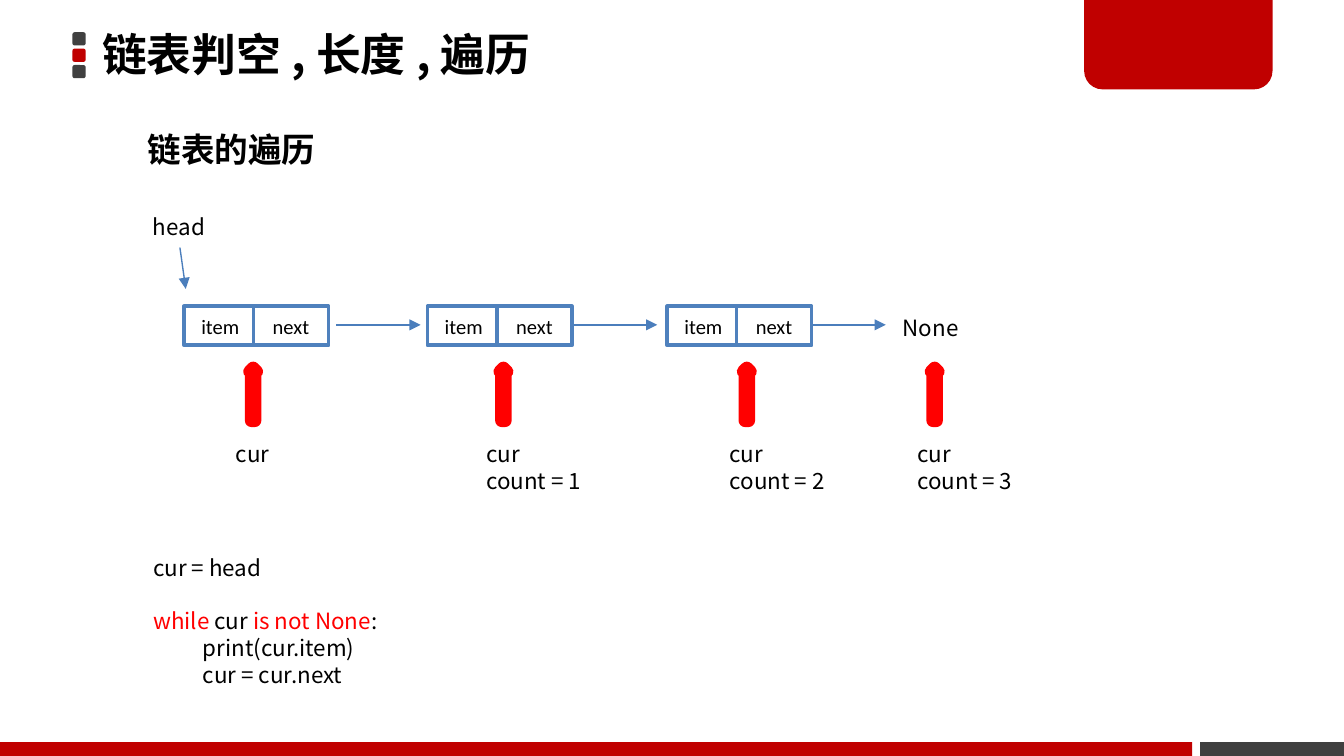
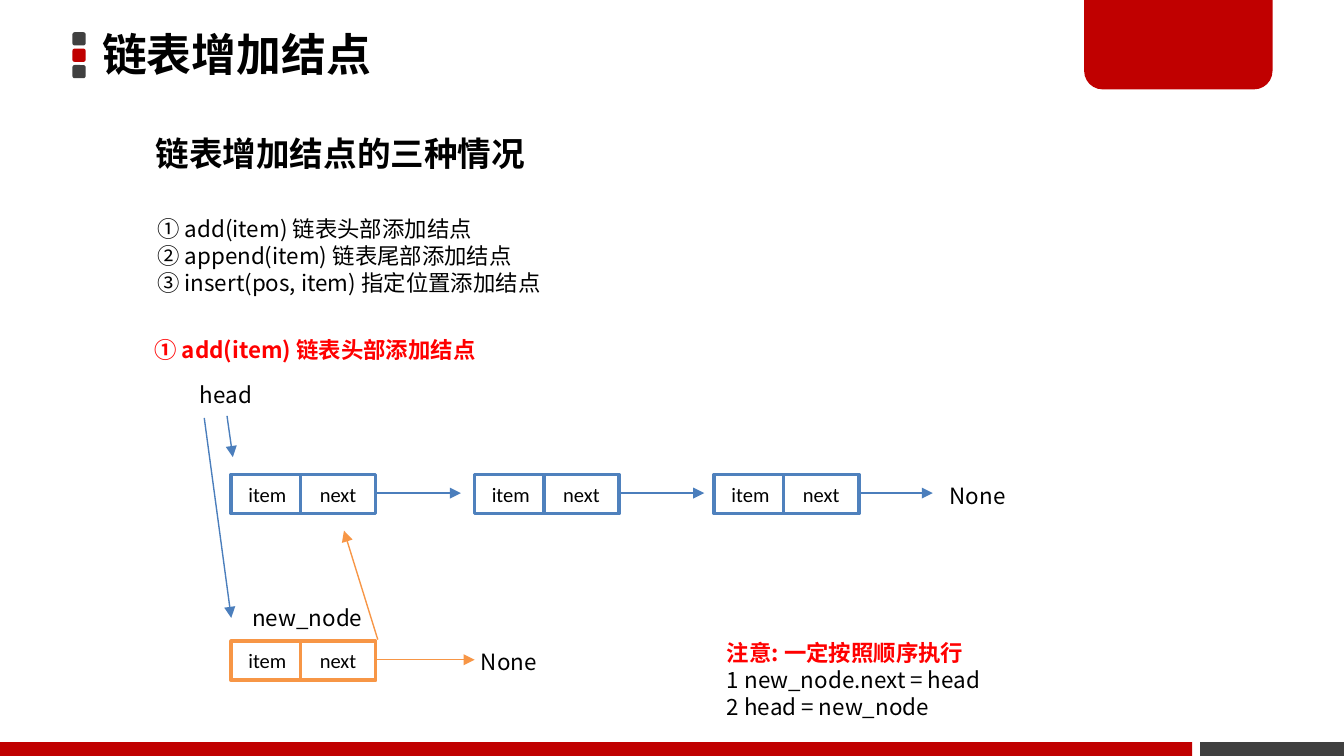
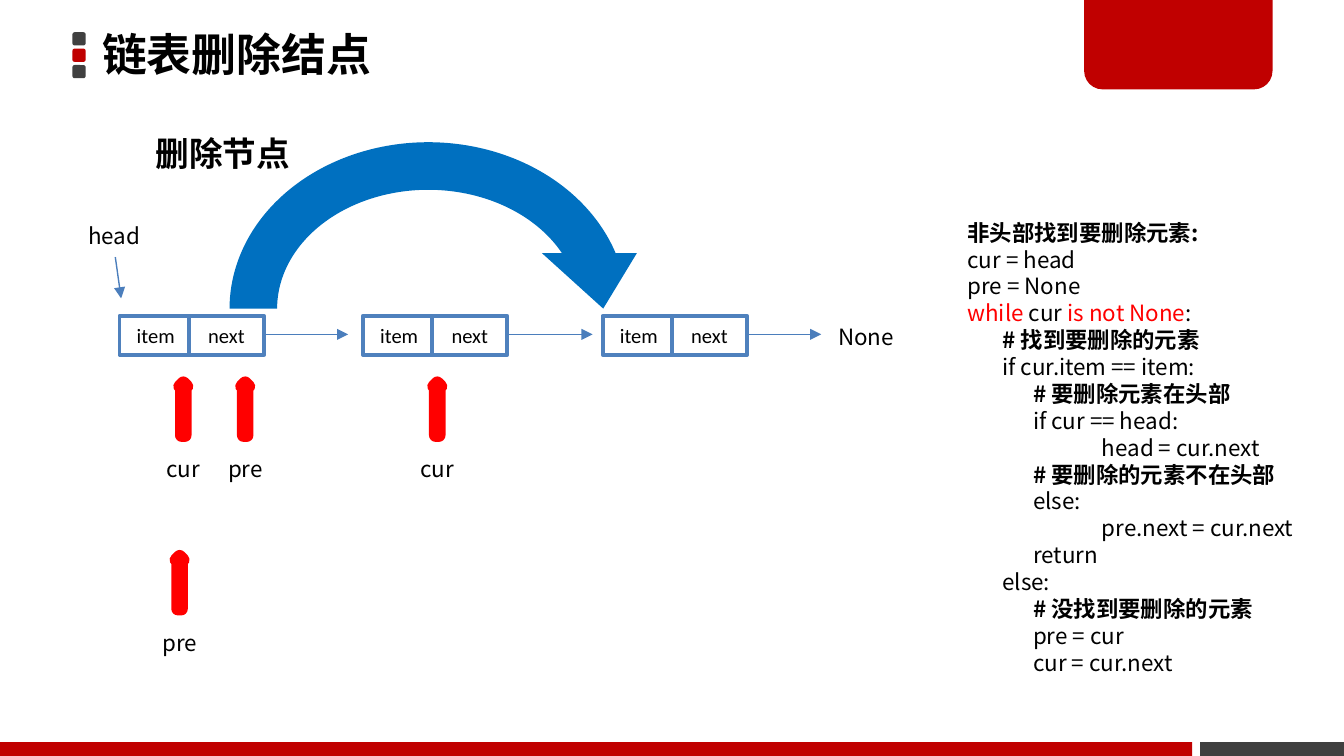
from lxml.etree import SubElement
from pptx import Presentation
from pptx.dml.color import RGBColor
from pptx.enum.shapes import MSO_CONNECTOR as Link, MSO_SHAPE as Form
from pptx.enum.text import MSO_ANCHOR as Anchor, MSO_AUTO_SIZE as Fit, PP_ALIGN as Align
from pptx.oxml.ns import qn
from pptx.util import Cm, Pt

RED = RGBColor(0xC0, 0x00, 0x00)
GREY = RGBColor(0x40, 0x40, 0x40)
BLACK = RGBColor(0x00, 0x00, 0x00)
WHITE = RGBColor(0xFF, 0xFF, 0xFF)
BRIGHT = RGBColor(0xFF, 0x00, 0x00)
BLUE = RGBColor(0x4F, 0x81, 0xBD)
STEEL = RGBColor(0x4B, 0x7E, 0xBC)
ORANGE = RGBColor(0xF7, 0x96, 0x46)
AZURE = RGBColor(0x00, 0x70, 0xC0)
FACE = "Noto Sans CJK SC"

# Run styles: colour and bold
PLAIN, BOLD = (BLACK, False), (BLACK, True)
KEY, WARN = (BRIGHT, False), (BRIGHT, True)


def put(frame, lines, size=12, face=FACE, gap=None, align=Align.LEFT):
    """Write lines of (indent in cm, run, run, ...); a run is (text, style)."""
    frame.auto_size = Fit.NONE
    for i, (dent, *runs) in enumerate(lines):
        para = frame.paragraphs[0] if i == 0 else frame.add_paragraph()
        para.alignment = align
        para.line_spacing = gap or Pt(size * 1.2)
        para.space_before = Pt(0)
        props = para._p.get_or_add_pPr()
        props.set("marL", str(Cm(dent)))
        props.set("indent", "0")
        SubElement(props, qn("a:buNone"))
        for text, (ink, bold) in runs:
            run = para.add_run()
            run.text = text
            font = run.font
            font.size, font.name, font.bold = Pt(size), face, bold
            font.color.rgb = ink
            SubElement(run._r.get_or_add_rPr(), qn("a:ea")).set("typeface", face)


def shape(page, form, box, fill=None, line=None, width=2):
    """Add a preset shape; box is left, top, width, height in cm."""
    item = page.shapes.add_shape(form, *map(Cm, box))
    item.shadow.inherit = False
    if fill is None:
        item.fill.background()
    else:
        item.fill.solid()
        item.fill.fore_color.rgb = fill
    if line is None:
        item.line.fill.background()
    else:
        item.line.color.rgb = line
        item.line.width = Pt(width)
    return item


deck = Presentation()
deck.slide_width, deck.slide_height = Cm(25.4), Cm(14.29)
layout = deck.slide_layouts[1]

# Layout: keep title and body, place the title
for spare in list(layout.placeholders)[2:]:
    spare.element.getparent().remove(spare.element)
title = layout.placeholders[0]
title.left, title.top, title.width, title.height = map(Cm, (1.75, -0.05, 14.96, 2.26))

# Layout: squares, tab and footer bands
pages = [deck.slides.add_slide(layout) for _ in range(3)]
decor = [shape(pages[0], Form.ROUNDED_RECTANGLE, (1.37, 0.61 + 0.31 * i, 0.25, 0.25), ink)
         for i, ink in enumerate((GREY, RED, GREY))]
tab = shape(pages[0], Form.ROUND_2_SAME_RECTANGLE, (20.49, -0.05, 3.56, 1.74), RED)
tab.adjustments[0], tab.adjustments[1] = 0, 0.2
decor += [tab,
          shape(pages[0], Form.RECTANGLE, (0, 14.03, 22.53, 0.26), RED),
          shape(pages[0], Form.RECTANGLE, (22.68, 14.03, 2.72, 0.26), GREY)]
for item in decor:
    layout.shapes.element.append(item.element)

# Code and lists
LOOP = (0, ("while ", KEY), ("cur ", PLAIN), ("is not None", KEY), (":", PLAIN))
WALK = [(0, ("cur = head", PLAIN)), LOOP,
        (0.94, ("print(cur.item)", PLAIN)), (0.94, ("cur = cur.next", PLAIN))]
WAYS = [(0, (text, PLAIN)) for text in (
    "① add(item) 链表头部添加结点",
    "② append(item) 链表尾部添加结点",
    "③ insert(pos, item) 指定位置添加结点")]
DROP = [(0, ("非头部找到要删除元素:", BOLD)),
        (0, ("cur = head", PLAIN)),
        (0, ("pre = None", PLAIN)),
        LOOP,
        (0.66, ("# 找到要删除的元素", BOLD)),
        (0.66, ("if cur.item == item:", PLAIN)),
        (1.24, ("# 要删除元素在头部", BOLD)),
        (1.24, ("if cur == head:", PLAIN)),
        (2.54, ("head = cur.next", PLAIN)),
        (1.24, ("# 要删除的元素不在头部", BOLD)),
        (1.24, ("else:", PLAIN)),
        (2.54, ("pre.next = cur.next", PLAIN)),
        (1.24, ("return", PLAIN)),
        (0.66, ("else:", PLAIN)),
        (1.24, ("# 没找到要删除的元素", BOLD)),
        (1.24, ("pre = cur", PLAIN)),
        (1.24, ("cur = cur.next", PLAIN))]
NOTE = [(0, ("注意: 一定按照顺序执行", WARN)),
        (0, ("1 new_node.next = head", PLAIN)),
        (0, ("2 head = new_node", PLAIN))]

# Per slide: title, heading (text, x, y, width), chain x and y, first link,
# body box, body lines, pointers (x, y, label lines, label width)
plans = [
    ("链表判空 , 长度 , 遍历", ("链表的遍历", 2.54, 2.31, 3.71), 3.48, 5.79, 2.87,
     (2.64, 10.34, 5.5, 3.33), WALK,
     [(4.72, 6.96, ["cur"], 1.14)]
     + [(x, 6.96, ["cur", f"count = {n}"], 2.49)
        for n, x in enumerate((9.45, 14.05, 17.6), 1)]),
    ("链表增加结点", ("链表增加结点的三种情况", 2.69, 2.39, 7.57), 4.37, 8.97, 2.74,
     (2.72, 3.94, 19.3, 2.31), WAYS, []),
    ("链表删除结点", ("删除节点", 2.69, 2.39, 3.07), 2.26, 5.97, 2.72,
     (18.03, 4.01, 7.2, 8.97), DROP,
     [(3.4, 7.24, ["cur"], 1.14), (4.57, 7.24, ["pre"], 1.19),
      (8.2, 7.24, ["cur"], 1.14), (3.33, 10.52, ["pre"], 1.19)]),
]

for page, plan in zip(pages, plans):
    name, (topic, left, top, wide), x, y, first, area, code, marks = plan

    # Title and body
    frame = page.shapes.title.text_frame
    frame.vertical_anchor = Anchor.MIDDLE
    frame.margin_left = frame.margin_right = Cm(0.18)
    frame.margin_top = frame.margin_bottom = Cm(0.1)
    put(frame, [(0, (name, BOLD))], 24, gap=0.9)
    body = page.placeholders[1]
    body.left, body.top, body.width, body.height = map(Cm, area)
    put(body.text_frame, code)

    # Chain: nodes, arrows (from, to, colour) and labels (box, lines, size)
    nodes = [(x + dx, y, BLUE) for dx in (0, 4.6, 9.13)]
    lines = [(x + dx, y + 0.35, x + dx + 1.6, y + 0.35, STEEL)
             for dx in (first, 7.34, 11.66)]
    lines.append((x - 0.08, y - 1.11, x + 0.03, y - 0.33, STEEL))
    notes = [((left, top, wide, 1.02), [(0, (topic, BOLD))], 18),
             ((x - 0.84, y - 1.89, 1.52, 0.76), [(0, ("head", PLAIN))], 12),
             ((x + 13.33, y + 0.02, 1.63, 0.76), [(0, ("None", PLAIN))], 12)]

    # New node being linked in front
    if page is pages[1]:
        nodes.append((x, 12.12, ORANGE))
        lines += [(6.91, 12.47, 8.97, 12.47, ORANGE),
                  (7.14, 12.09, 6.5, 10.03, ORANGE),
                  (3.86, 7.9, 4.37, 11.68, STEEL)]
        notes += [((2.67, 6.22, 6.73, 1.27), [(0, ("① add(item) 链表头部添加结点", WARN))], 12),
                  ((8.84, 12.12, 1.63, 0.76), [(0, ("None", PLAIN))], 12),
                  ((4.52, 11.3, 2.59, 0.76), [(0, ("new_node", PLAIN))], 12),
                  ((13.49, 11.96, 5.54, 1.8), NOTE, 12)]

    # Red pointers
    for px, py, words, wide in marks:
        shape(page, Form.UP_ARROW, (px, py, 0.13, 0.99), None, BRIGHT, 7)
        notes.append(((px - 0.51, py + 1.24, wide, 0.25 + 0.51 * len(words)),
                      [(0, (word, PLAIN)) for word in words], 12))

    # Draw arrows, nodes and labels
    for x1, y1, x2, y2, ink in lines:
        wire = page.shapes.add_connector(Link.STRAIGHT, Cm(x1), Cm(y1), Cm(x2), Cm(y2))
        wire.line.color.rgb = ink
        wire.line.width = Pt(0.75)
        SubElement(wire.line._get_or_add_ln(), qn("a:tailEnd")).set("type", "triangle")
        SubElement(wire.element.spPr, qn("a:effectLst"))
    for nx, ny, ink in nodes:
        for dx, wide, word in ((0, 1.37, "item"), (1.31, 1.42, "next")):
            cell = shape(page, Form.RECTANGLE, (nx + dx, ny, wide, 0.74), WHITE, ink)
            cell.text_frame.vertical_anchor = Anchor.MIDDLE
            put(cell.text_frame, [(0, (word, PLAIN))], 11, "Calibri", 1.0, Align.CENTER)
    for box, words, size in notes:
        label = page.shapes.add_textbox(*map(Cm, box)).text_frame
        label.word_wrap = False
        put(label, words, size)

# Gap above the loop, and the jump over the removed node
pages[0].placeholders[1].text_frame.paragraphs[1].space_before = Pt(14.4)
shape(pages[2], Form.CIRCULAR_ARROW, (3.89, 2.24, 8.41, 7.19), AZURE)

deck.save("out.pptx")
